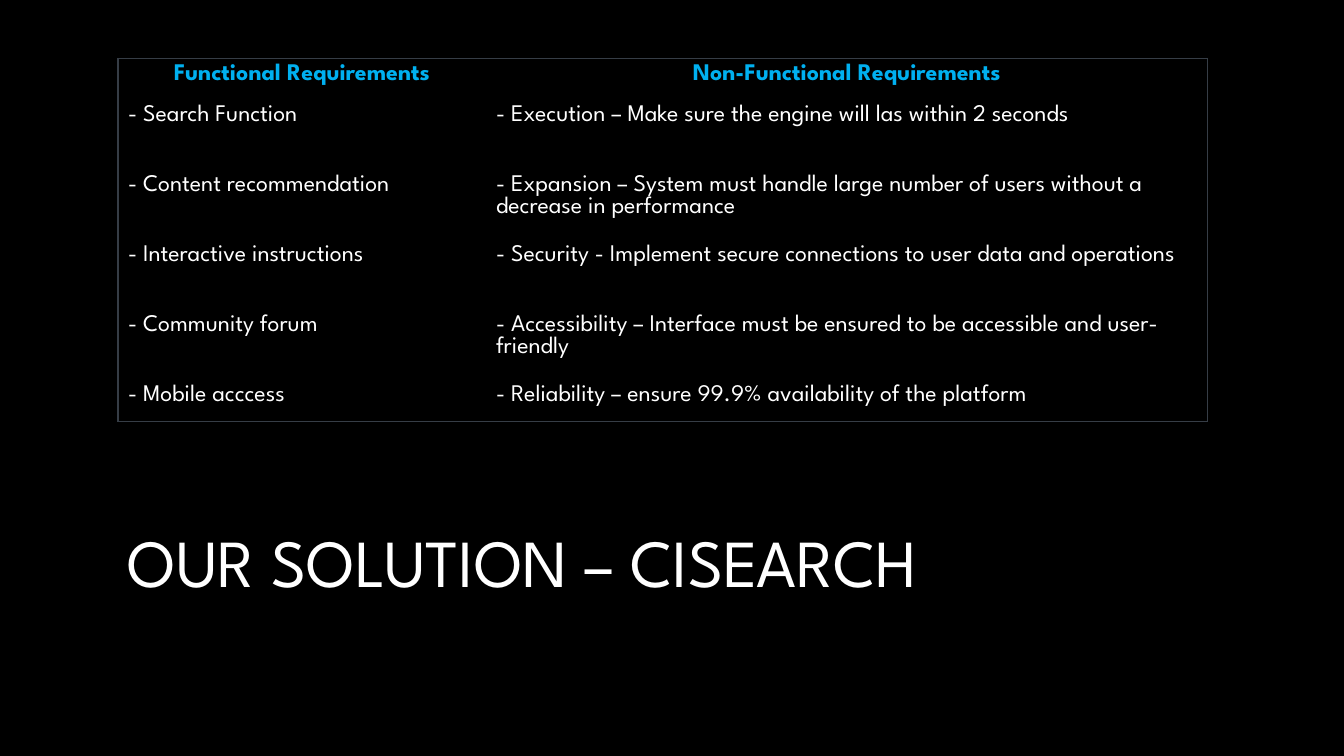
from lxml.etree import SubElement
from pptx import Presentation
from pptx.dml.color import RGBColor
from pptx.enum.text import MSO_ANCHOR, PP_ALIGN
from pptx.oxml import parse_xml
from pptx.oxml.ns import nsdecls, qn
from pptx.util import Inches, Pt

BLACK = RGBColor(0x00, 0x00, 0x00)
WHITE = RGBColor(0xFF, 0xFF, 0xFF)
SKY_BLUE = RGBColor(0x00, 0xB0, 0xF0)
BORDER_GREY = RGBColor(0x36, 0x3D, 0x46)
FONT_NAME = "League Spartan"

# Boxes: left, top, width, height in inches
TABLE_BOX = (1.17, 0.58, 10.81, 3.6)
TITLE_BOX = (1.17, 5.06, 10.01, 0.95)
COLUMN_SHARES = (3.65, 7.16)
ROW_SHARES = (0.41, 0.69, 0.69, 0.69, 0.69, 0.41)

HEADER_FORMAT = {"size": Pt(17), "name": FONT_NAME, "bold": True}
BODY_FORMAT = {"size": Pt(17), "name": FONT_NAME, "bold": False}
TITLE_FORMAT = {"size": Pt(48), "name": FONT_NAME, "bold": False}

REQUIREMENTS = [
    ("Functional Requirements", "Non-Functional Requirements"),
    ("- Search Function",
     "- Execution – Make sure the engine will las within 2 seconds"),
    ("- Content recommendation",
     "- Expansion – System must handle large number of users without a "
     "decrease in performance"),
    ("- Interactive instructions",
     "- Security - Implement secure connections to user data and operations"),
    ("- Community forum",
     "- Accessibility – Interface must be ensured to be accessible and user-friendly"),
    ("- Mobile acccess",
     "- Reliability – ensure 99.9% availability of the platform"),
]


def write_text(text_frame, text, font_format, color, alignment=PP_ALIGN.LEFT):
    paragraph = text_frame.paragraphs[0]
    paragraph.alignment = alignment
    run = paragraph.add_run()
    run.text = text
    for name, value in font_format.items():
        setattr(run.font, name, value)
    run.font.color.rgb = color


def set_borders(cell, visible_sides):
    properties = cell._tc.get_or_add_tcPr()
    for position, side in enumerate("LRTB"):
        line = parse_xml(f'<a:ln{side} {nsdecls("a")} w="{Pt(1)}"/>')
        if side in visible_sides:
            fill = SubElement(line, qn("a:solidFill"))
            SubElement(fill, qn("a:srgbClr"), val=str(BORDER_GREY))
        else:
            SubElement(line, qn("a:noFill"))
        properties.insert(position, line)


def add_requirements_table(slide, box):
    left, top, width, height = box
    row_count, column_count = len(ROW_SHARES), len(COLUMN_SHARES)
    table = slide.shapes.add_table(
        row_count, column_count, *map(Inches, box)).table
    table.first_row = table.horz_banding = False

    for column, share in zip(table.columns, COLUMN_SHARES):
        column.width = Inches(width * share / sum(COLUMN_SHARES))
    for row, share in zip(table.rows, ROW_SHARES):
        row.height = Inches(height * share / sum(ROW_SHARES))

    for row_index, texts in enumerate(REQUIREMENTS):
        for column_index, text in enumerate(texts):
            cell = table.cell(row_index, column_index)
            cell.fill.background()
            if row_index == 0:
                write_text(cell.text_frame, text, HEADER_FORMAT, SKY_BLUE,
                           PP_ALIGN.CENTER)
            else:
                write_text(cell.text_frame, text, BODY_FORMAT, WHITE)
            # Only the outer frame shows
            outer_sides = {
                "L": column_index == 0,
                "R": column_index == column_count - 1,
                "T": row_index == 0,
                "B": row_index == row_count - 1,
            }
            set_borders(cell, [side for side, outer in outer_sides.items() if outer])


def add_title(slide, box):
    text_frame = slide.shapes.add_textbox(*map(Inches, box)).text_frame
    text_frame.word_wrap = True
    text_frame.vertical_anchor = MSO_ANCHOR.BOTTOM
    write_text(text_frame, "OUR SOLUTION – CISEARCH", TITLE_FORMAT, WHITE)


def main():
    presentation = Presentation()
    presentation.slide_width = Inches(13.33)
    presentation.slide_height = Inches(7.5)
    slide = presentation.slides.add_slide(presentation.slide_layouts[6])
    slide.background.fill.solid()
    slide.background.fill.fore_color.rgb = BLACK

    add_requirements_table(slide, TABLE_BOX)
    add_title(slide, TITLE_BOX)
    presentation.save("out.pptx")


if __name__ == "__main__":
    main()
